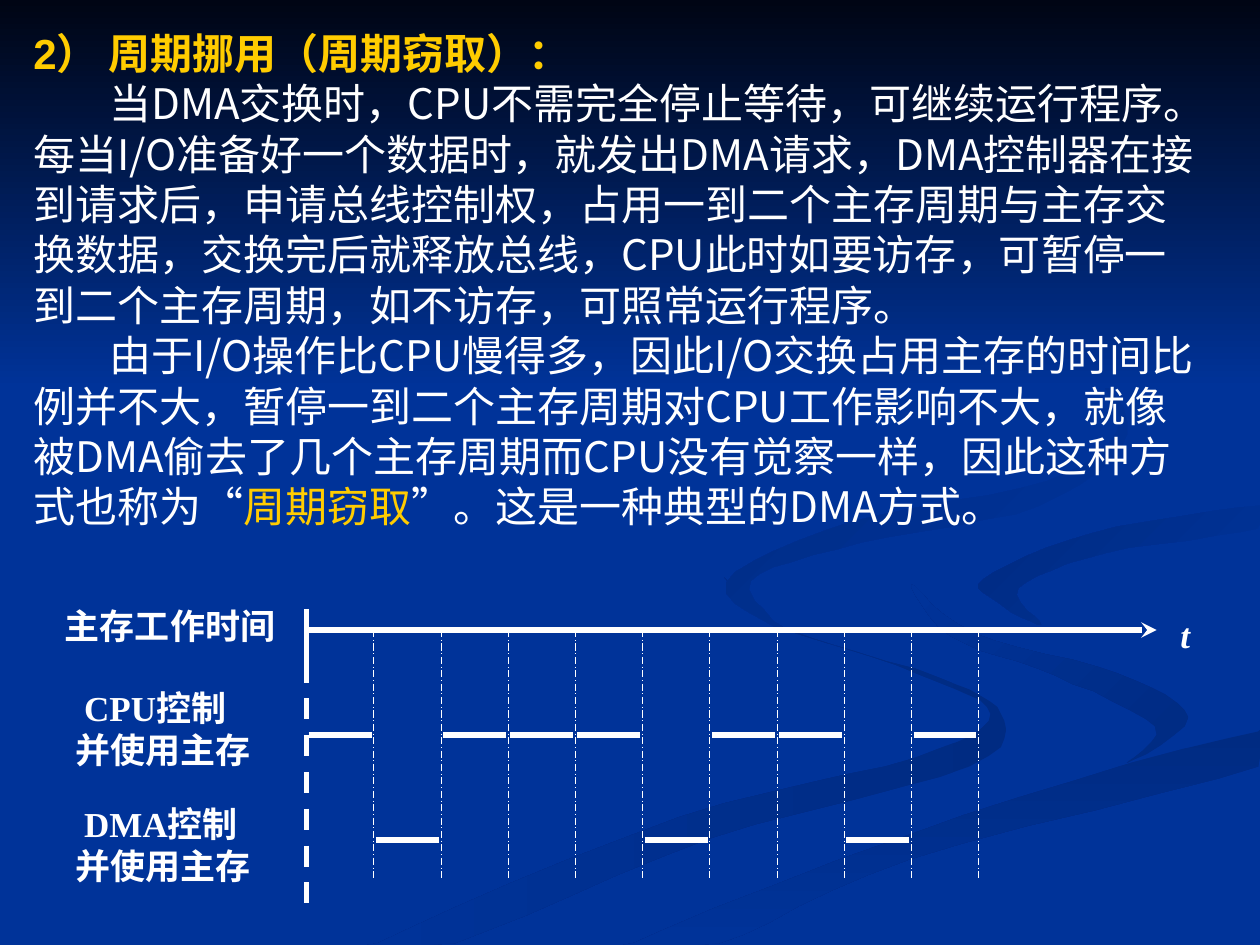
from lxml.etree import SubElement
from pptx import Presentation
from pptx.dml.color import RGBColor
from pptx.enum.dml import MSO_LINE as Dash
from pptx.enum.shapes import MSO_CONNECTOR as Connector
from pptx.enum.text import MSO_AUTO_SIZE as AutoSize
from pptx.oxml.ns import qn
from pptx.util import Pt

WHITE = RGBColor(0xFF, 0xFF, 0xFF)
GOLD = RGBColor(0xFF, 0xCC, 0x00)
BLUE = RGBColor(0x00, 0x33, 0x99)
NIGHT = RGBColor(0x00, 0x05, 0x14)
SHADE = RGBColor(0x00, 0x2B, 0x82)

WIDTH, HEIGHT = 720, 540
CJK_FONT = "Noto Sans CJK SC"
HEADING = {"name": "Arial", "size": Pt(24), "bold": True, "color": GOLD}
BODY = {"name": CJK_FONT, "size": Pt(24), "bold": False, "color": WHITE}
ACCENT = BODY | {"color": GOLD}
LABEL = {"name": "Times New Roman", "size": Pt(20), "bold": True, "color": WHITE}
SYMBOL = LABEL | {"italic": True}


def smooth(knots, steps=6):
    """Closed Catmull-Rom curve through the knots, kept on the slide."""
    curve = []
    for i, b in enumerate(knots):
        a, c, d = knots[i - 1], knots[(i + 1) % len(knots)], knots[(i + 2) % len(knots)]
        for t in (step / steps for step in range(steps)):
            x, y = (q + t / 2 * (r - p + t * (2 * p - 5 * q + 4 * r - s
                    + t * (3 * (q - r) + s - p))) for p, q, r, s in zip(a, b, c, d))
            curve.append((min(x, WIDTH), min(y, HEIGHT)))
    return curve


class SlideWriter:
    """Holds the line style and the slide being drawn."""

    line_color = WHITE
    line_height = 1.2

    def __init__(self, slide):
        self.slide = slide

    def area(self, outline, colors, angle):
        builder = self.slide.shapes.build_freeform(*outline[0], scale=Pt(1))
        builder.add_line_segments(outline[1:], close=True)
        shape = builder.convert_to_shape()
        shape.shadow.inherit = False
        shape.line.fill.background()
        shape.fill.gradient()
        shape.fill.gradient_angle = 360 - angle
        for stop, color, position in zip(shape.fill.gradient_stops, colors, (0, 1)):
            stop.color.rgb = color
            stop.position = position

    def text(self, left, top, width, height, paragraphs, wrap=False):
        """Each paragraph is (first-line indent, [(text, format), ...])."""
        box = self.slide.shapes.add_textbox(Pt(left), Pt(top), Pt(width), Pt(height))
        frame = box.text_frame
        frame.word_wrap = wrap
        frame.auto_size = AutoSize.SHAPE_TO_FIT_TEXT
        for number, (indent, runs) in enumerate(paragraphs):
            paragraph = frame.add_paragraph() if number else frame.paragraphs[0]
            paragraph.line_spacing = Pt(runs[0][1]["size"].pt * self.line_height)
            paragraph._p.get_or_add_pPr().set("indent", str(Pt(indent)))
            for words, style in runs:
                run = paragraph.add_run()
                run.text = words
                for key, value in style.items():
                    if key == "color":
                        run.font.color.rgb = value
                    else:
                        setattr(run.font, key, value)
                SubElement(run._r.get_or_add_rPr(), qn("a:ea"), typeface=CJK_FONT)

    def line(self, x1, y1, x2, y2, width=3, dash=None, arrow=False):
        line = self.slide.shapes.add_connector(
            Connector.STRAIGHT, Pt(x1), Pt(y1), Pt(x2), Pt(y2))
        line.line.color.rgb = self.line_color
        line.line.width = Pt(width)
        if dash:
            line.line.dash_style = dash
        if arrow:
            SubElement(line.line._get_or_add_ln(), qn("a:tailEnd"), type="stealth")
        SubElement(line._element.spPr, qn("a:effectLst"))


# Background ribbons: knots, gradient colours, angle
RIBBONS = [
    ([(414, 330), (440, 355), (524, 385), (566, 408), (523, 433), (388, 467),
      (216, 539), (260, 539), (406, 479), (554, 438), (572, 408), (536, 387),
      (442, 357)], (SHADE, BLUE), 180),
    ([(521, 334), (557, 362), (639, 385), (679, 410), (644, 436), (660, 415),
      (603, 386), (544, 364)], (SHADE, BLUE), 225),
    ([(362, 539), (411, 539), (520, 491), (719, 438), (719, 418), (550, 466)],
     (SHADE, BLUE), 90),
    ([(562, 331), (570, 344), (595, 357), (582, 336), (632, 316), (719, 302),
      (719, 289), (623, 305)], (BLUE, SHADE), 225),
    ([(492, 310), (594, 289), (644, 248), (615, 204), (549, 168), (609, 201),
      (640, 241), (598, 275), (487, 298), (415, 333), (448, 360), (429, 332)],
     (BLUE, SHADE), 225),
]

EXPLANATION = [
    (0, [("2） 周期挪用（周期窃取）：", HEADING)]),
    (43.4, [("当DMA交换时，CPU不需完全停止等待，可继续运行程序。每当I/O准备好一个数据时，"
             "就发出DMA请求，DMA控制器在接到请求后，申请总线控制权，占用一到二个主存周期"
             "与主存交换数据，交换完后就释放总线，CPU此时如要访存，可暂停一到二个主存周期，"
             "如不访存，可照常运行程序。", BODY)]),
    (43.4, [("由于I/O操作比CPU慢得多，因此I/O交换占用主存的时间比例并不大，"
             "暂停一到二个主存周期对CPU工作影响不大，就像被DMA偷去了几个主存周期"
             "而CPU没有觉察一样，因此这种方式也称为“", BODY),
            ("周期窃取", ACCENT),
            ("”。这是一种典型的DMA方式。", BODY)]),
]

# Timing diagram: who holds the memory in each cycle
OWNERS = "CDCCCDCCDC"
LEVEL = {"C": 420, "D": 480}
ORIGIN, AXIS, CYCLE, GAP = 175.2, 360, 38.4, 1.2


def main():
    deck = Presentation()
    deck.slide_width, deck.slide_height = Pt(WIDTH), Pt(HEIGHT)
    slide = deck.slides.add_slide(deck.slide_layouts[6])
    slide.background.fill.solid()
    slide.background.fill.fore_color.rgb = BLUE
    writer = SlideWriter(slide)

    # Background
    for knots, colors, angle in RIBBONS:
        writer.area(smooth(knots), colors, angle)
    night_sky = [(0, 0), (0, 222), (WIDTH, 222), (WIDTH, 0)]
    writer.area(night_sky, (NIGHT, BLUE), 90)

    writer.text(12, 12, 678, 295, EXPLANATION, wrap=True)

    # Row labels and time symbol
    writer.text(30, 342, 134.5, 31.5, [(0, [("主存工作时间", LABEL)])])
    for unit, top in (("CPU", 389), ("DMA", 455)):
        writer.text(36, top, 114.5, 55.5, [
            (0, [(f" {unit}控制", LABEL)]), (0, [("并使用主存", LABEL)])])
    writer.text(667.5, 347, 19.5, 31.5, [(0, [("t", SYMBOL)])])

    # Axes
    writer.line(ORIGIN, 348, ORIGIN, 378)
    writer.line(ORIGIN, AXIS, 661, AXIS, arrow=True)
    writer.line(ORIGIN, 378, ORIGIN, 516, dash=Dash.DASH)

    # Memory cycles
    for number, owner in enumerate(OWNERS):
        start = ORIGIN + number * CYCLE
        end = start + CYCLE
        writer.line(start + GAP, LEVEL[owner], end - GAP, LEVEL[owner])
        writer.line(end, AXIS, end, 502, width=0.5, dash=Dash.LONG_DASH_DOT)

    deck.save("out.pptx")


if __name__ == "__main__":
    main()
